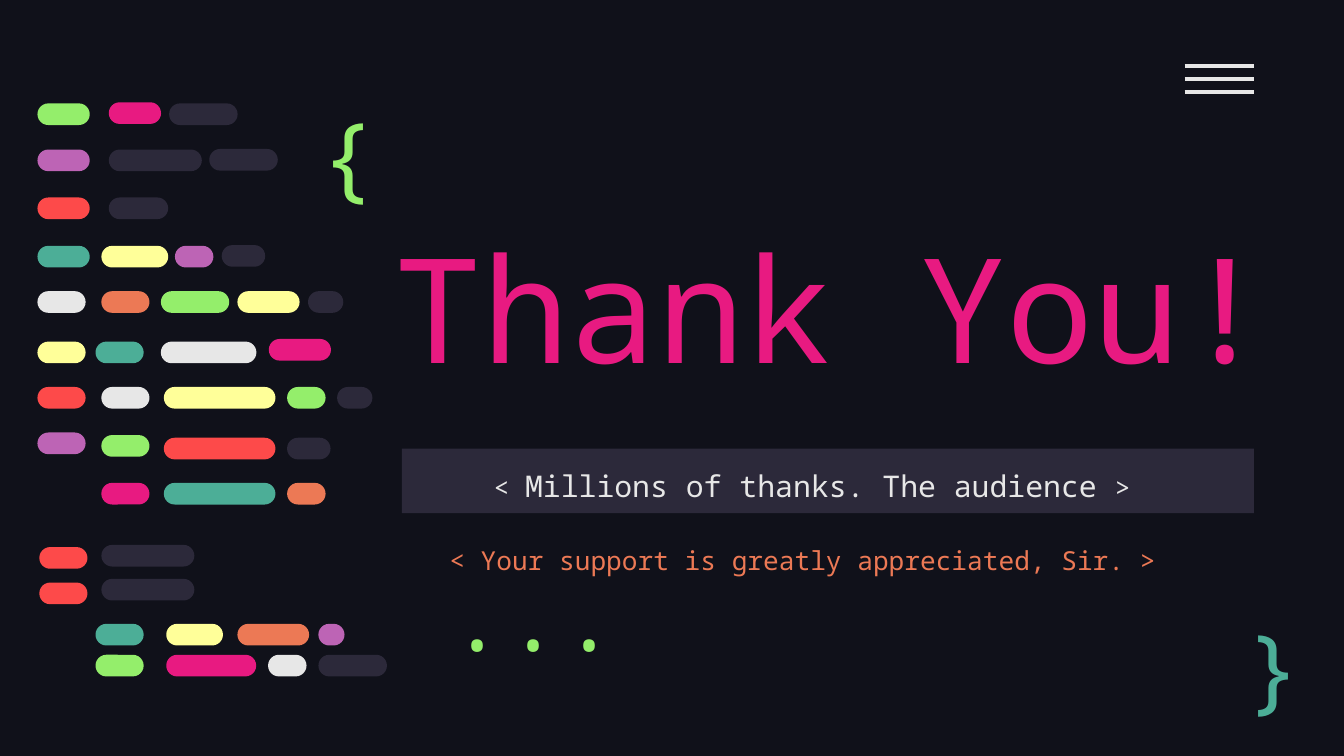
from dataclasses import dataclass

from lxml import etree
from pptx import Presentation
from pptx.dml.color import RGBColor
from pptx.enum.shapes import MSO_CONNECTOR, MSO_SHAPE
from pptx.enum.text import MSO_ANCHOR, PP_ALIGN
from pptx.oxml.ns import qn
from pptx.util import Pt

RECTANGLE, PILL = MSO_SHAPE.RECTANGLE, MSO_SHAPE.ROUNDED_RECTANGLE
STRAIGHT = MSO_CONNECTOR.STRAIGHT
TOP, MIDDLE, BOTTOM = MSO_ANCHOR.TOP, MSO_ANCHOR.MIDDLE, MSO_ANCHOR.BOTTOM
LEFT, CENTER, RIGHT = PP_ALIGN.LEFT, PP_ALIGN.CENTER, PP_ALIGN.RIGHT


@dataclass(frozen=True)
class Theme:
    font: str = "Noto Sans Mono"
    night: str = "10111A"
    slate: str = "2C293A"
    white: str = "E7E7E7"
    pink: str = "E81A81"
    green: str = "94EE6B"
    teal: str = "4CAE97"
    purple: str = "BD64B5"
    red: str = "FD4A4A"
    yellow: str = "FFFF99"
    orange: str = "EC7955"
    title_size: int = 78
    symbol_size: int = 50
    subtitle_size: int = 16
    small_size: int = 14


THEME = Theme()
PILL_HEIGHT = 11.6

# Each code row: top, then pills as (left, width, colour name, optional drop).
CODE_ROWS = [
    (55.4, [(20.1, 28, "green"), (58.3, 28, "pink", -0.6), (90.6, 36.7, "slate")]),
    (80.1, [(20.1, 28, "purple"), (58.3, 49.8, "slate"), (112.1, 36.7, "slate", -0.3)]),
    (105.8, [(20.1, 28, "red"), (58.3, 31.8, "slate")]),
    (131.7, [(20.1, 28, "teal"), (54.3, 35.8, "yellow"), (93.7, 20.6, "purple"),
             (118.8, 23.3, "slate", -0.4)]),
    (156, [(20.1, 25.8, "white"), (54.3, 25.8, "orange"), (86.2, 36.6, "green"),
           (127.2, 33.3, "yellow"), (165, 18.9, "slate")]),
    (183, [(20.1, 25.8, "yellow"), (51.2, 25.8, "teal"), (86.2, 51.2, "white"),
           (144, 33.3, "pink", -1.4)]),
    (207.3, [(20.1, 25.8, "red"), (54.3, 25.8, "white"), (87.8, 59.8, "yellow"),
             (153.8, 20.6, "green"), (180.6, 18.9, "slate")]),
    (231.7, [(20.1, 25.8, "purple"), (54.3, 25.8, "green", 1.4),
             (87.8, 59.8, "red", 2.8), (153.8, 23.3, "slate", 2.8)]),
    (258.7, [(54.3, 25.8, "pink"), (87.8, 59.8, "teal"), (153.8, 20.6, "orange")]),
    (293.1, [(21.1, 25.8, "red"), (54.3, 49.8, "slate", -1.2)]),
    (312.1, [(21.1, 25.8, "red"), (54.3, 49.8, "slate", -2)]),
    (334.2, [(51.2, 25.8, "teal"), (89.1, 30.4, "yellow"), (127.2, 38.4, "orange"),
             (170.6, 14, "purple")]),
    (350.8, [(51.2, 25.8, "green"), (89.1, 48.2, "pink"), (143.6, 20.6, "white"),
             (170.6, 36.7, "slate")]),
]


def rgb(name):
    return RGBColor.from_string(getattr(THEME, name))


def add_block(shapes, kind, left, top, width, height, color):
    block = shapes.add_shape(kind, Pt(left), Pt(top), Pt(width), Pt(height))
    block.shadow.inherit = False
    block.fill.solid()
    block.fill.fore_color.rgb = rgb(color)
    block.line.fill.background()
    return block


def write(box, spans, color, anchor=TOP, align=LEFT, spacing=1.0, insets=(7.2, 7.2)):
    """Fill a box with one line of (text, size) spans; insets are left and vertical."""
    frame = box.text_frame
    frame.word_wrap = True
    frame.vertical_anchor = anchor
    frame.margin_left, frame.margin_right = Pt(insets[0]), Pt(7.2)
    frame.margin_top = frame.margin_bottom = Pt(insets[1])
    para = frame.paragraphs[0]
    para.alignment = align
    para.line_spacing = spacing
    for text, size in spans:
        span = para.add_run()
        span.text = text
        span.font.name = THEME.font
        span.font.size = Pt(size)
        span.font.color.rgb = rgb(color)


def add_text(page, place, text, size, color, **layout):
    box = page.shapes.add_textbox(*(Pt(length) for length in place))
    write(box, [(text, size)], color, **layout)


def add_subtitle(page):
    bar = add_block(page.shapes, RECTANGLE, 215.3, 240.3, 456.5, 34.6, "slate")
    spans = [
        ("< ", THEME.small_size),
        ("Millions of thanks. The audience ", THEME.subtitle_size),
        (">", THEME.small_size),
    ]
    write(bar, spans, "white", spacing=1.15, insets=(49.2, 7.2))


def add_menu_icon(page):
    group = page.shapes.add_group_shape()
    for row in range(3):
        height = Pt(35.3 + 7.1 * row)
        line = group.shapes.add_connector(STRAIGHT, Pt(634.6), height, Pt(671.8), height)
        line.line.color.rgb = rgb("white")
        line.line.width = Pt(2.25)
        etree.SubElement(line._element.spPr, qn("a:effectLst"))


def add_code_pills(page):
    group = page.shapes.add_group_shape()
    for top, pills in CODE_ROWS:
        for left, width, color, *drop in pills:
            pill = add_block(group.shapes, PILL, left, top + sum(drop),
                             width, PILL_HEIGHT, color)
            pill.adjustments[0] = 0.5


def main():
    deck = Presentation()
    deck.slide_width, deck.slide_height = Pt(720), Pt(405)
    page = deck.slides.add_slide(deck.slide_layouts[6])
    page.background.fill.solid()
    page.background.fill.fore_color.rgb = rgb("night")

    add_text(page, (204.5, 95, 512.6, 123.8), "Thank You!", THEME.title_size, "pink",
             anchor=BOTTOM, spacing=0.9)
    add_subtitle(page)
    add_text(page, (164.9, 44.6, 55.4, 68.4), "{", THEME.symbol_size, "green")
    add_text(page, (660.2, 326.2, 41, 59.8), "}", THEME.symbol_size, "teal", anchor=MIDDLE)
    add_text(page, (223.9, 323.3, 113.8, 43.2), "...", THEME.symbol_size, "green",
             anchor=BOTTOM, align=RIGHT)
    add_menu_icon(page)
    add_code_pills(page)
    add_text(page, (225.4, 288, 409.7, 24.5),
             "< Your support is greatly appreciated, Sir. >", THEME.small_size, "orange",
             align=CENTER, insets=(7.2, 3.6))

    deck.save("out.pptx")


if __name__ == "__main__":
    main()
